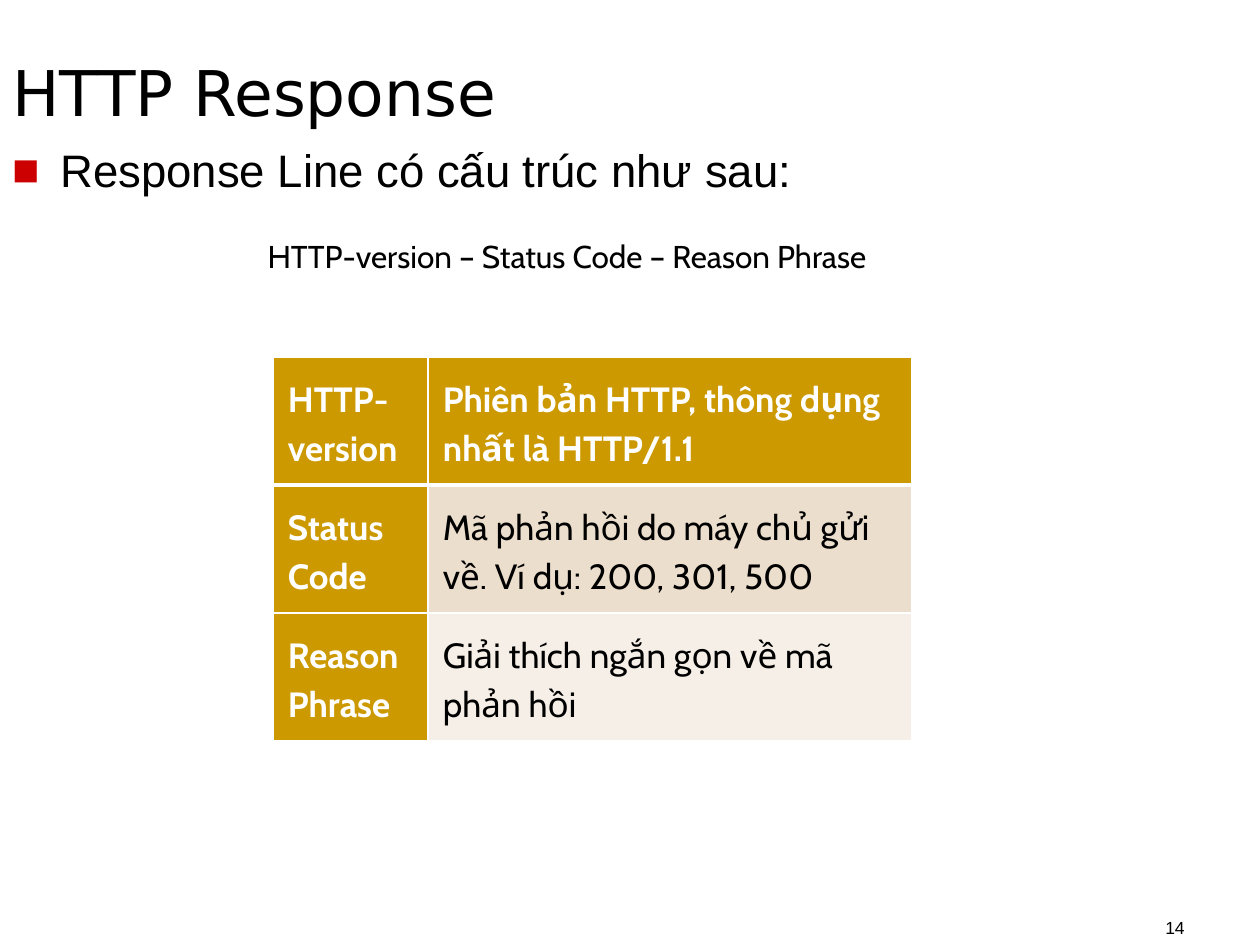
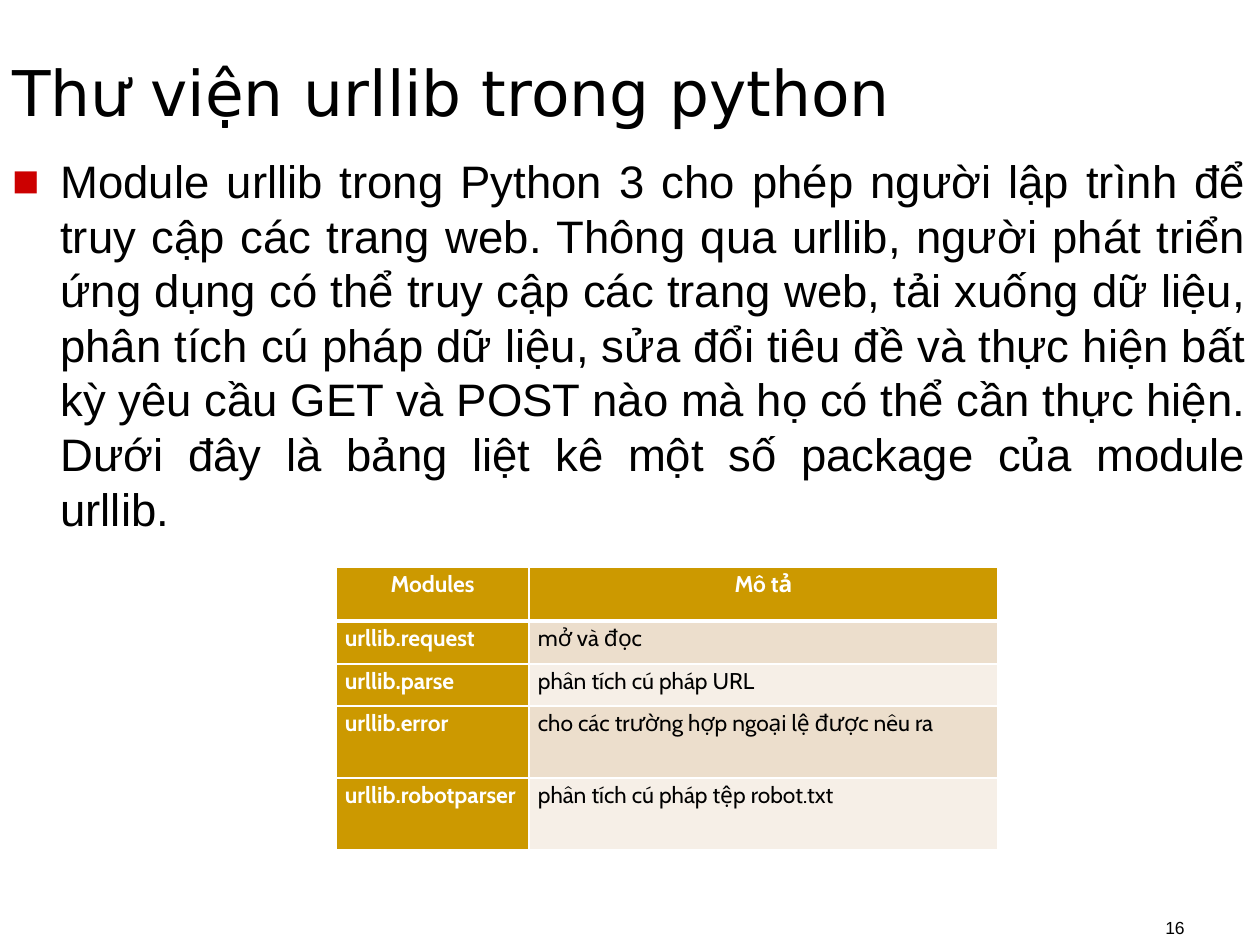
"""Build two slides about HTTP responses and the urllib package."""
from dataclasses import dataclass

from lxml import etree
from pptx import Presentation
from pptx.dml.color import RGBColor
from pptx.enum.text import MSO_ANCHOR, PP_ALIGN
from pptx.oxml.ns import qn
from pptx.util import Pt

PX = 914400 / 126
LEFT, CENTER, RIGHT, JUSTIFY = PP_ALIGN.LEFT, PP_ALIGN.CENTER, PP_ALIGN.RIGHT, PP_ALIGN.JUSTIFY
TOP, MIDDLE, BOTTOM = MSO_ANCHOR.TOP, MSO_ANCHOR.MIDDLE, MSO_ANCHOR.BOTTOM


@dataclass(frozen=True)
class Theme:
    ink: str = "000000"
    white: str = "FFFFFF"
    bullet: str = "CC0000"
    gold: str = "CC9900"
    bands: tuple = ("ECDECC", "F6EFE7")
    title_font: str = "DejaVu Sans"
    body_font: str = "Arial"
    table_font: str = "Cabin"
    title_size: int = 36
    body_size: int = 26
    caption_size: int = 18
    number_size: int = 10


def px(n):
    return round(n * PX)


def write(tf, text, *, font, size, color, bold=False, align=LEFT, spacing=None):
    p = tf.paragraphs[0]
    p.alignment = align
    if spacing:
        p.line_spacing = spacing
    r = p.add_run()
    r.text = text
    r.font.name, r.font.size, r.font.bold = font, Pt(size), bold
    r.font.color.rgb = RGBColor.from_string(color)
    return p


class Deck:
    def __init__(self, theme):
        self.theme = theme
        self.prs = Presentation()
        self.prs.slide_width, self.prs.slide_height = px(1260), px(945)
        self.s = None

    def slide(self, title, number):
        t = self.theme
        self.s = self.prs.slides.add_slide(self.prs.slide_layouts[6])
        self.text(number, 903, 881, 294, 63, anchor=BOTTOM, align=RIGHT,
                  font=t.body_font, size=t.number_size)
        self.text(title, 0, 49, 1260, 86, anchor=BOTTOM,
                  font=t.title_font, size=t.title_size)

    def text(self, text, x, y, w, h, anchor=TOP, **fmt):
        sp = self.s.shapes.add_textbox(px(x), px(y), px(w), px(h))
        tf = sp.text_frame
        tf.word_wrap, tf.vertical_anchor = True, anchor
        return write(tf, text, color=self.theme.ink, **fmt)

    def bullet(self, text, y, h):
        t = self.theme
        p = self.text(text, 0, y, 1260, h, align=JUSTIFY, font=t.body_font, size=t.body_size)
        p.space_before = Pt(5)
        pPr = p._p.get_or_add_pPr()
        pPr.set("marL", str(px(48)))
        pPr.set("indent", str(-px(48)))
        color = etree.SubElement(pPr, qn("a:buClr"))
        etree.SubElement(color, qn("a:srgbClr"), val=t.bullet)
        etree.SubElement(pPr, qn("a:buFont"), typeface=t.body_font)
        etree.SubElement(pPr, qn("a:buChar"), char="■")

    def caption(self, text, x, y, w, h):
        t = self.theme
        self.text(text, x, y, w, h, align=CENTER, font=t.table_font, size=t.caption_size)

    def table(self, rows, x, y, widths, heights, size, pad, anchor=TOP, head_align=LEFT):
        t = self.theme
        table = self.s.shapes.add_table(len(rows), len(widths), px(x), px(y),
                                        px(sum(widths)), px(sum(heights))).table
        for column, w in zip(table.columns, widths):
            column.width = px(w)
        for i, (row, h) in enumerate(zip(rows, heights)):
            table.rows[i].height = px(h)
            for j, text in enumerate(row):
                cell = table.cell(i, j)
                strong = i == 0 or j == 0
                cell.vertical_anchor = anchor
                cell.margin_left = cell.margin_right = px(pad[0])
                cell.margin_top = cell.margin_bottom = px(pad[1])
                write(cell.text_frame, text, font=t.table_font, size=size, bold=strong,
                      color=t.white if strong else t.ink, spacing=1.15,
                      align=head_align if i == 0 else LEFT)
                self.borders(cell, above=3 if i == 1 else 1, below=3 if i == 0 else 1)
                cell.fill.solid()
                fill = t.gold if strong else t.bands[(i - 1) % 2]
                cell.fill.fore_color.rgb = RGBColor.from_string(fill)

    def borders(self, cell, above, below):
        tcPr = cell._tc.get_or_add_tcPr()
        for side, width in (("L", 1), ("R", 1), ("T", above), ("B", below)):
            ln = etree.SubElement(tcPr, qn(f"a:ln{side}"), w=str(Pt(width)))
            fill = etree.SubElement(ln, qn("a:solidFill"))
            etree.SubElement(fill, qn("a:srgbClr"), val=self.theme.white)


def main():
    deck = Deck(Theme())

    deck.slide("HTTP Response", "14")
    deck.bullet("Response Line có cấu trúc như sau:", 136, 788)
    deck.caption("HTTP-version – Status Code – Reason Phrase", 252, 231, 630, 89)
    response_parts = [
        ("HTTP-version", "Phiên bản HTTP, thông dụng nhất là HTTP/1.1"),
        ("Status Code", "Mã phản hồi do máy chủ gửi về. Ví dụ: 200, 301, 500"),
        ("Reason Phrase", "Giải thích ngắn gọn về mã phản hồi"),
    ]
    deck.table(response_parts, 273, 357, [155, 484], [128] * 3, 20, (15, 15), anchor=MIDDLE)

    deck.slide("Thư viện urllib trong python", "16")
    deck.bullet(
        "Module urllib trong Python 3 cho phép người lập trình để truy cập các trang web. "
        "Thông qua urllib, người phát triển ứng dụng có thể truy cập các trang web, "
        "tải xuống dữ liệu, phân tích cú pháp dữ liệu, sửa đổi tiêu đề và thực hiện bất kỳ "
        "yêu cầu GET và POST nào mà họ có thể cần thực hiện. "
        "Dưới đây là bảng liệt kê một số package của module urllib.", 147, 777)
    urllib_modules = [
        ("Modules", "Mô tả"),
        ("urllib.request", "mở và đọc"),
        ("urllib.parse", "phân tích cú pháp URL"),
        ("urllib.error", "cho các trường hợp ngoại lệ được nêu ra"),
        ("urllib.robotparser", "phân tích cú pháp tệp robot.txt"),
    ]
    deck.table(urllib_modules, 336, 567, [193, 469], [54, 43, 42, 72, 72], 13, (9, 0),
               head_align=CENTER)

    deck.prs.save("out.pptx")


if __name__ == "__main__":
    main()
